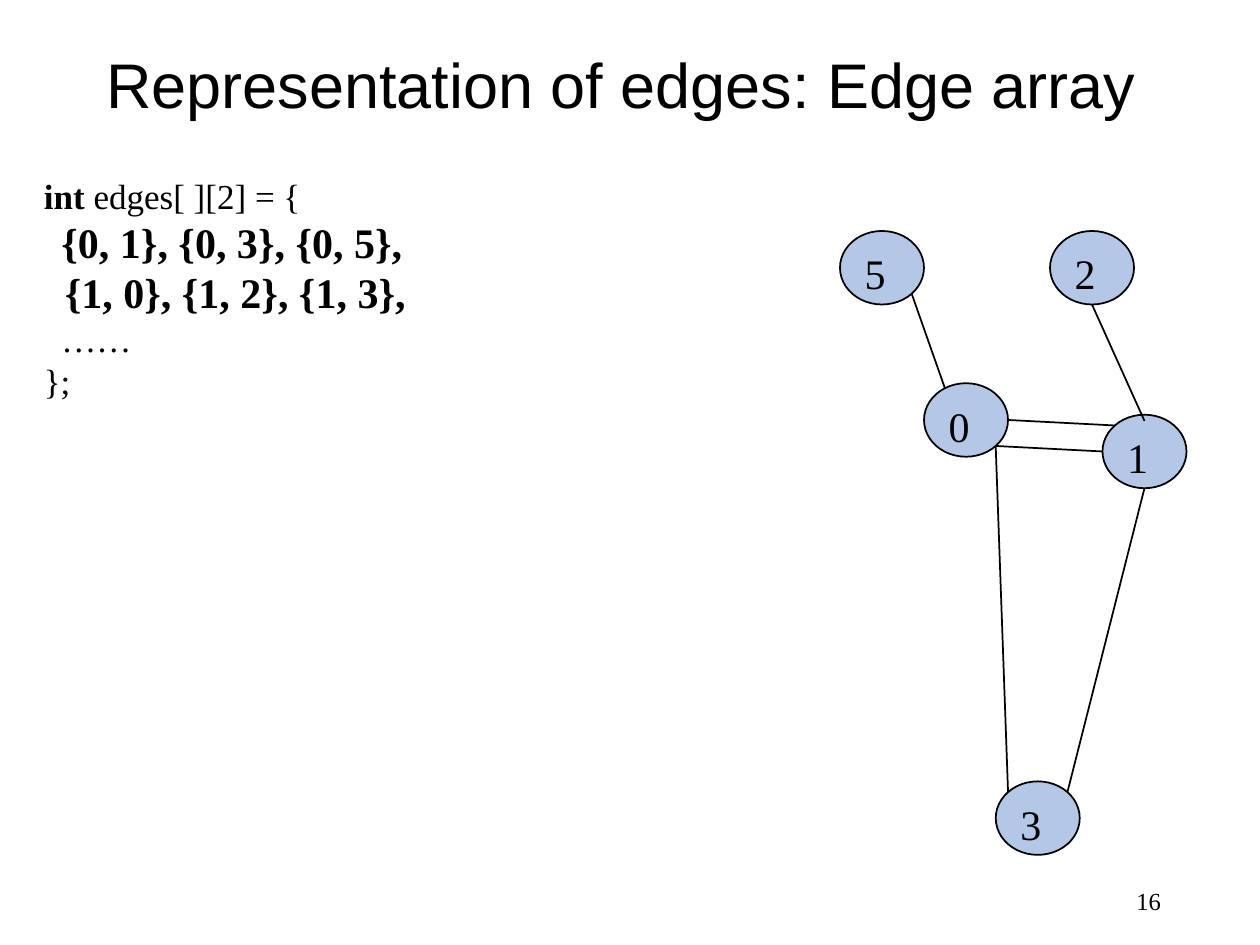
"""Build a slide that shows a graph and its edge array."""
import math

from pptx import Presentation
from pptx import util as u
from pptx.dml.color import RGBColor
from pptx.enum import shapes, text
from pptx.oxml.ns import qn
from lxml import etree

SERIF = "Times New Roman"
BLACK = "000000"
NODE_W, NODE_H = 48, 42
NODES = {"5": (480, 132), "2": (600, 132), "0": (528, 219),
         "1": (630, 237), "3": (569, 446.5)}
ANGLES = {"right": 0, "bottom right": 45, "bottom": 90, "left": 180,
          "top left": 225, "top right": 315}
CODE = [
    [("int", 20, True), (" edges[ ][2] = {", 20, False)],
    [("  ", 20, False), ("{0, 1}, {0, 3}, {0, 5},", 24, True)],
    [("  {1, 0}, {1, 2}, {1, 3},", 24, True)],
    [("  ……", 20, False)],
    [("};", 20, False)],
]


def color(value):
    """Return the colour for a hex string."""
    return RGBColor.from_string(value)


def style(font, size, name=SERIF, bold=False):
    """Set the size, typeface, weight and black colour of a font."""
    font.size = u.Pt(size)
    font.name = name
    font.bold = bold
    font.color.rgb = color(BLACK)


def add_text(s, box, anchor=text.MSO_ANCHOR.TOP):
    """Add an empty wrapping text box and return its text frame."""
    tf = s.shapes.add_textbox(*map(u.Pt, box)).text_frame
    tf.word_wrap = True
    tf.vertical_anchor = anchor
    return tf


def add_line_of_text(s, box, content, size, name, align):
    """Add one vertically centred line of text and return its paragraph."""
    tf = add_text(s, box, text.MSO_ANCHOR.MIDDLE)
    tf.text = content
    p = tf.paragraphs[0]
    p.alignment = align
    style(p.runs[0].font, size, name)
    return p


def add_code(s, box, lines):
    """Add code lines made of runs with their own size and weight."""
    tf = add_text(s, box)
    for i, runs in enumerate(lines):
        p = tf.add_paragraph() if i else tf.paragraphs[0]
        for content, size, bold in runs:
            r = p.add_run()
            r.text = content
            style(r.font, size, bold=bold)


def add_node(s, label, left, top):
    """Add a labelled graph node."""
    sp = s.shapes.add_shape(shapes.MSO_SHAPE.OVAL,
                            *map(u.Pt, (left, top, NODE_W, NODE_H)))
    sp.shadow.inherit = False
    sp.fill.solid()
    sp.fill.fore_color.rgb = color("B4C7E7")
    sp.line.color.rgb = color(BLACK)
    sp.line.width = u.Pt(1)
    tf = sp.text_frame
    tf.text = label
    tf.vertical_anchor = text.MSO_ANCHOR.TOP
    p = tf.paragraphs[0]
    p.alignment = text.PP_ALIGN.LEFT
    style(p.runs[0].font, 24)


def rim(label, side):
    """Return the point on a node's outline at the named side."""
    left, top = NODES[label]
    angle = math.radians(ANGLES[side])
    return (left + NODE_W / 2 * (1 + math.cos(angle)),
            top + NODE_H / 2 * (1 + math.sin(angle)))


def add_edge(s, start, end):
    """Add a straight black line between two points."""
    cxn = s.shapes.add_connector(shapes.MSO_CONNECTOR.STRAIGHT,
                                 *map(u.Pt, (*start, *end)))
    cxn.line.color.rgb = color(BLACK)
    cxn.line.width = u.Pt(1)
    etree.SubElement(cxn._element.spPr, qn("a:effectLst"))


def main():
    """Build and save the slide."""
    prs = Presentation()
    prs.slide_width, prs.slide_height = u.Pt(720), u.Pt(540)
    s = prs.slides.add_slide(prs.slide_layouts[6])
    title = add_line_of_text(s, (0, 22.5, 720, 55.5),
                             "Representation of edges: Edge array ",
                             36, "Arial", text.PP_ALIGN.CENTER)
    title.line_spacing = 0.9
    add_line_of_text(s, (508.5, 500.5, 162, 28.5), "16", 14, SERIF,
                     text.PP_ALIGN.RIGHT)
    add_code(s, (18, 96, 702, 167), CODE)
    for label, (left, top) in NODES.items():
        add_node(s, label, left, top)
    edges = [
        (rim("0", "right"), rim("1", "top left")),
        (rim("0", "bottom right"), rim("3", "top left")),
        (rim("5", "bottom right"), (540, 222)),
        (rim("2", "bottom"), (654, 240.5)),
        (rim("1", "bottom"), rim("3", "top right")),
        (rim("1", "left"), rim("0", "bottom right")),
    ]
    for start, end in edges:
        add_edge(s, start, end)
    prs.save("out.pptx")


if __name__ == "__main__":
    main()
